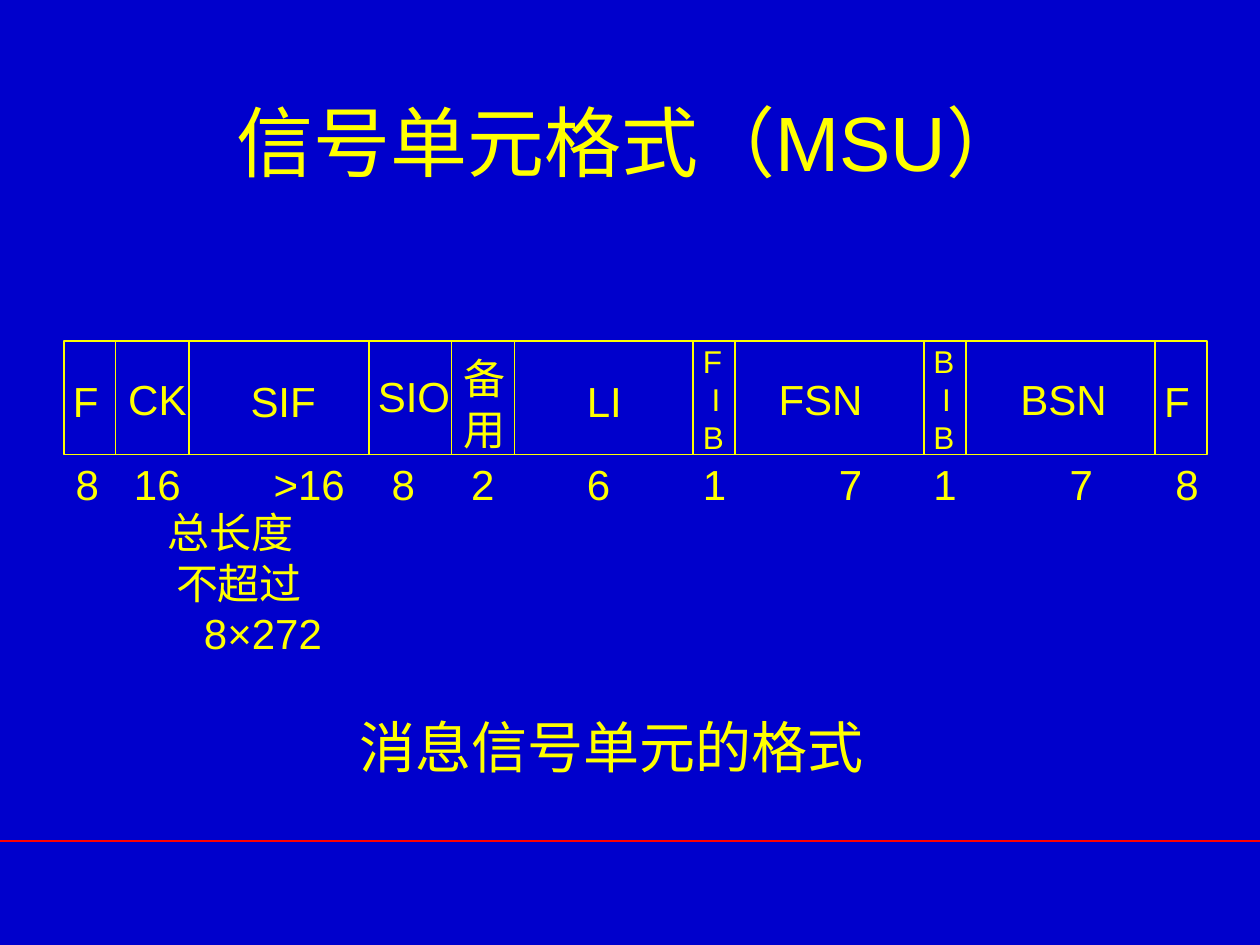
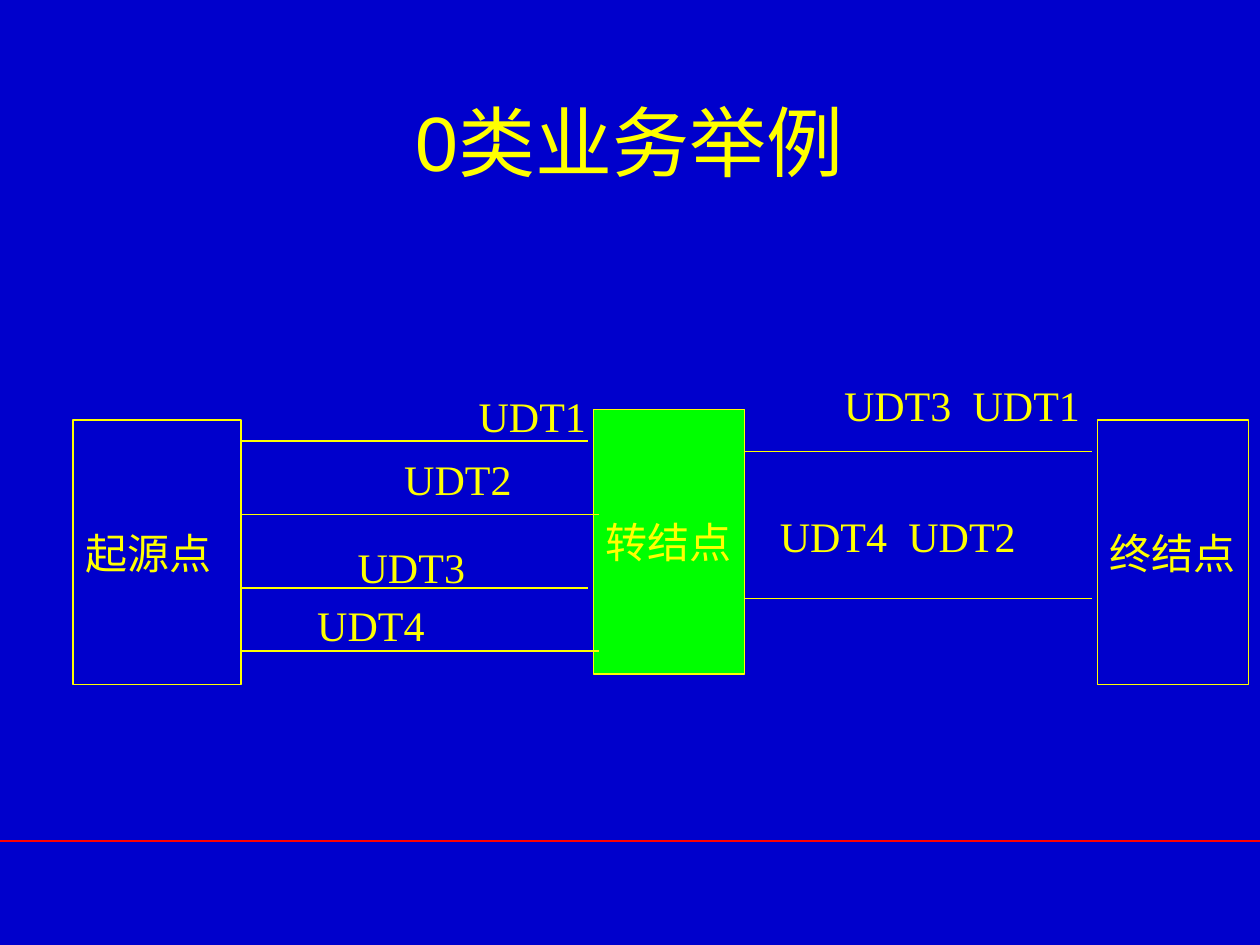
from lxml import etree
from pptx import Presentation
from pptx.dml.color import RGBColor
from pptx.enum.shapes import MSO_CONNECTOR, MSO_SHAPE
from pptx.enum.text import MSO_ANCHOR, PP_ALIGN
from pptx.oxml.ns import qn
from pptx.util import Pt

# Shared look
BLUE = RGBColor(0x00, 0x00, 0xCC)
YELLOW = RGBColor(0xFF, 0xFF, 0x00)
GREEN = RGBColor(0x00, 0xFF, 0x00)
RED = RGBColor(0xFF, 0x00, 0x00)
SANS, SERIF = "Arial", "Times New Roman"
LEFT, CENTER = PP_ALIGN.LEFT, PP_ALIGN.CENTER
TOP, MIDDLE = MSO_ANCHOR.TOP, MSO_ANCHOR.MIDDLE
STRAIGHT, RECTANGLE = MSO_CONNECTOR.STRAIGHT, MSO_SHAPE.RECTANGLE
PAGE_WIDTH, PAGE_HEIGHT = 720, 540
FOOTER_Y = 480.4
LABEL_HEIGHT = 36

# Message signal unit: the frame and its columns
FRAME_LEFT, FRAME_TOP, FRAME_WIDTH, FRAME_HEIGHT = 36.6, 194.7, 653.1, 65
DIVIDERS = (66, 108, 210.7, 258, 294, 396, 420, 528, 552, 660)
FIELD_NAMES = (  # name, left, top, width
    ("F", 34.6, 211, 30), ("CK", 66.2, 210.2, 49), ("SIF", 136.1, 211, 53),
    ("SIO", 208.8, 208.1, 57), ("LI", 328.3, 211, 36),
    ("FSN", 437.8, 210.2, 64), ("BSN", 576, 210.2, 65), ("F", 658.1, 211, 30),
)
STACKED_FLAGS = (("F", 394.6), ("B", 526.3))  # first letter, left
BITS_TOP = 258.5
BITS_LINE = 27.6
FIELD_BITS = (  # bits, left, width
    ("8", 36.2, 28), ("16", 69.5, 42), (">16", 149.3, 56), ("8", 216.8, 28),
    ("2", 262.1, 28), ("6", 328.3, 28), ("1", 394.6, 28), ("7", 472.3, 28),
    ("1", 526.3, 28), ("7", 604.1, 28), ("8", 664.6, 28),
)

# Class 0 service: nodes and the messages between them
NODES = (  # name, left, top, width, fill, wrap
    ("起源点", 41.9, 240, 96, None, True),
    ("终结点", 627.1, 240, 86.4, None, False),
    ("转结点", 339.1, 234, 86.4, GREEN, False),
)
NODE_HEIGHT = 151.2
LINKS = (  # start, end, height on the page
    (138, 336, 252), (138, 342, 294), (138, 336, 336), (138, 342, 372),
    (426, 624, 258), (426, 624, 342),
)
PAIR_STEP = 73.5
MESSAGES = (  # message, left, top
    ("UDT1", 266.4, 219.6), ("UDT2", 223.9, 255.6),
    ("UDT3", 197.3, 306), ("UDT4", 174.2, 339.1),
    ("UDT3", 475.2, 213.1), ("UDT1", 475.2 + PAIR_STEP, 213.1),
    ("UDT4", 438.5, 288), ("UDT2", 438.5 + PAIR_STEP, 288),
)


def add_line(page, x1, y1, x2, y2, color=YELLOW):
    line = page.shapes.add_connector(STRAIGHT, Pt(x1), Pt(y1), Pt(x2), Pt(y2))
    line.line.color.rgb = color
    line.line.width = Pt(1)
    etree.SubElement(line._element.spPr, qn("a:effectLst"))


def set_indent(para, indent):
    properties = para._p.get_or_add_pPr()
    properties.set("marL", str(Pt(indent)))
    properties.set("indent", "0")


def write(box, lines, size=24, font=SANS, align=LEFT, anchor=TOP,
          wrap=False, indents=()):
    frame = box.text_frame
    frame.word_wrap = wrap
    frame.vertical_anchor = anchor
    span_format = {"size": Pt(size), "name": font}
    for index, text in enumerate(lines):
        para = frame.add_paragraph() if index else frame.paragraphs[0]
        para.alignment = align
        if indents:
            set_indent(para, indents[index])
        span = para.add_run()
        span.text = text
        for name, value in span_format.items():
            setattr(span.font, name, value)
        span.font.color.rgb = YELLOW


def add_text(page, lines, left, top, width, height=LABEL_HEIGHT, **style):
    box = page.shapes.add_textbox(Pt(left), Pt(top), Pt(width), Pt(height))
    write(box, lines, **style)


def add_box(page, left, top, width, height, fill=None):
    box = page.shapes.add_shape(RECTANGLE, Pt(left), Pt(top), Pt(width), Pt(height))
    box.shadow.inherit = False
    if fill is None:
        box.fill.background()
    else:
        box.fill.solid()
        box.fill.fore_color.rgb = fill
    box.line.color.rgb = YELLOW
    box.line.width = Pt(1)
    return box


def add_page(deck, title):
    page = deck.slides.add_slide(deck.slide_layouts[6])
    page.background.fill.solid()
    page.background.fill.fore_color.rgb = BLUE
    add_line(page, 0, FOOTER_Y, PAGE_WIDTH, FOOTER_Y, RED)
    add_text(page, [title], 54, 35.3, 612, 90, size=44, align=CENTER,
             anchor=MIDDLE, wrap=True)
    return page


def build_signal_unit(deck):
    page = add_page(deck, "信号单元格式（MSU）")
    add_box(page, FRAME_LEFT, FRAME_TOP, FRAME_WIDTH, FRAME_HEIGHT)
    for x in DIVIDERS:
        add_line(page, x, FRAME_TOP, x, FRAME_TOP + FRAME_HEIGHT)

    # Field names
    for name, left, top, width in FIELD_NAMES:
        add_text(page, [name], left, top, width)
    for letter, left in STACKED_FLAGS:
        add_text(page, [letter, "I", "B"], left, 192.2, 27, 72,
                 size=18, indents=(0, 5, 0))
    add_text(page, ["备", "用"], 257.8, 198, 38.5, 64.8)

    # Field lengths in bits, with the limit on the SIF
    for bits, left, width in FIELD_BITS:
        add_text(page, [bits], left, BITS_TOP, width)
    add_text(page, ["总长度", "不超过", "8×272"], 29.5, BITS_TOP + BITS_LINE,
             234.7, 94, wrap=True, indents=(59, 64, 80))

    # Caption
    add_text(page, ["消息信号单元的格式"], 195, 403.2, 309.6, 46.1,
             size=32, font=SERIF, align=CENTER, anchor=MIDDLE)


def build_class_0_example(deck):
    page = add_page(deck, "0类业务举例")
    for name, left, top, width, fill, wrap in NODES:
        node = add_box(page, left, top, width, NODE_HEIGHT, fill)
        write(node, [name], font=SERIF, anchor=MIDDLE, wrap=wrap)
    for start, end, y in LINKS:
        add_line(page, start, y, end, y)

    # Messages on the links
    for message, left, top in MESSAGES:
        add_text(page, [message], left, top, 75.6, font=SERIF)


def main():
    deck = Presentation()
    deck.slide_width, deck.slide_height = Pt(PAGE_WIDTH), Pt(PAGE_HEIGHT)
    build_signal_unit(deck)
    build_class_0_example(deck)
    deck.save("out.pptx")


if __name__ == "__main__":
    main()
